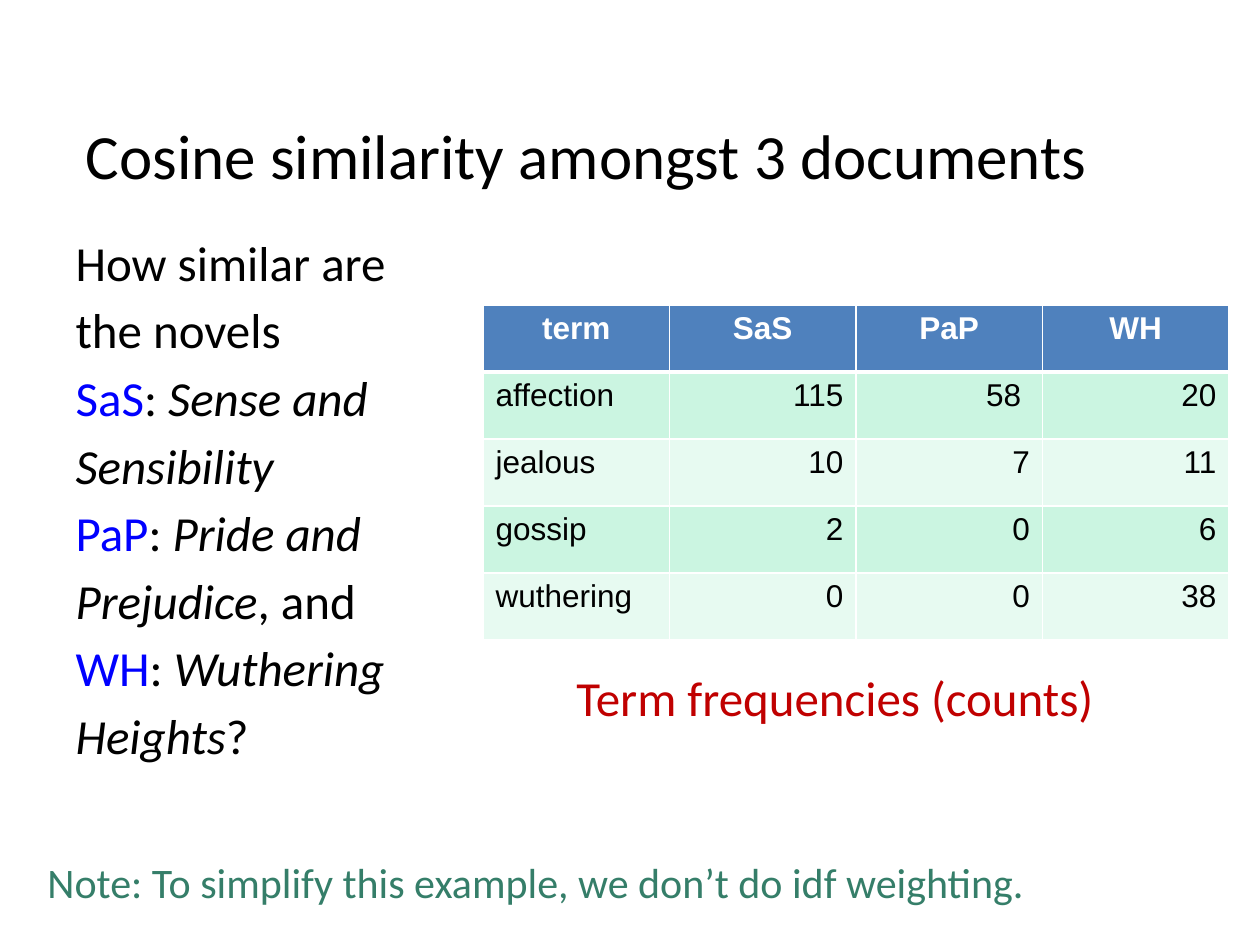
from pptx import Presentation
from pptx.dml.color import RGBColor as RGB
from pptx.enum.text import MSO_ANCHOR as ANCHOR, MSO_AUTO_SIZE as FIT, PP_ALIGN as ALIGN
from pptx.oxml import parse_xml
from pptx.oxml.ns import nsdecls
from pptx.util import Emu, Pt

BLACK = RGB(0x00, 0x00, 0x00)
WHITE = RGB(0xFF, 0xFF, 0xFF)
BLUE = RGB(0x00, 0x00, 0xFF)
RED = RGB(0xC0, 0x00, 0x00)
GREEN = RGB(0x35, 0x7E, 0x69)
HEAD = RGB(0x4F, 0x81, 0xBD)
BANDS = [RGB(0xE7, 0xFA, 0xF1), RGB(0xCB, 0xF5, 0xE1)]


def px(n):
    return Emu(round(n * 914400 / 126))


def style(para, size, color, name="Calibri", bold=False):
    font = para.font
    font.size, font.name, font.bold = Pt(size), name, bold
    font.color.rgb = color


deck = Presentation()
deck.slide_width, deck.slide_height = px(1260), px(945)
slide = deck.slides.add_slide(deck.slide_layouts[1])

# Title
title = slide.shapes.title
title.left, title.top, title.width, title.height = px(73), px(38), px(1187), px(160)
frame = title.text_frame
frame.text = "Cosine similarity amongst 3 documents"
frame.vertical_anchor = ANCHOR.BOTTOM
frame.auto_size = FIT.NONE
frame.paragraphs[0].alignment = ALIGN.LEFT
style(frame.paragraphs[0], 36, BLACK)

# Novels: each line holds a blue key, plain text, an italic title and plain text
lines = [
    ("", "How similar are", "", ""),
    ("", "the novels", "", ""),
    ("SaS", ": ", "Sense and", ""),
    ("", "", "Sensibility", ""),
    ("PaP", ": ", "Pride and", ""),
    ("", "", "Prejudice", ", and"),
    ("WH", ": ", "Wuthering", ""),
    ("", "", "Heights", "?"),
]
body = slide.placeholders[1]
body.left, body.top, body.width, body.height = px(63), px(226), px(415), px(646)
frame = body.text_frame
frame.auto_size = FIT.NONE
for i, parts in enumerate(lines):
    para = frame.paragraphs[0] if i == 0 else frame.add_paragraph()
    props = para._p.get_or_add_pPr()
    props.set("marL", "0")
    props.set("indent", "0")
    props.append(parse_xml(f"<a:buNone {nsdecls('a')}/>"))
    para.space_before = Pt(5 if i else 0)
    style(para, 28, BLACK)
    for j, text in enumerate(parts):
        if text:
            run = para.add_run()
            run.text = text
            if j == 0:
                run.font.color.rgb = BLUE
            elif j == 2:
                run.font.italic = True

# Term counts
rows = [
    ("term", "SaS", "PaP", "WH"),
    ("affection", "115", "58 ", "20"),
    ("jealous", "10", "7", "11"),
    ("gossip", "2", "0", "6"),
    ("wuthering", "0", "0", "38"),
]
table = slide.shapes.add_table(5, 4, px(483), px(305), px(746), px(335)).table
for r, row in enumerate(rows):
    for c, text in enumerate(row):
        cell = table.cell(r, c)
        cell.text = text
        cell.fill.solid()
        cell.fill.fore_color.rgb = BANDS[r % 2] if r else HEAD
        para = cell.text_frame.paragraphs[0]
        if r == 0:
            para.alignment = ALIGN.CENTER
        elif c:
            para.alignment = ALIGN.RIGHT
        style(para, 18, BLACK if r else WHITE, "Arial", r == 0)
        # White borders, thicker below the header
        for k, side in enumerate("LRTB"):
            thick = (r, side) in [(0, "B"), (1, "T")]
            cell._tc.get_or_add_tcPr().insert(k, parse_xml(
                f'<a:ln{side} {nsdecls("a")} w="{Pt(3 if thick else 1)}"><a:solidFill>'
                f'<a:srgbClr val="{WHITE}"/></a:solidFill></a:ln{side}>'))

# Caption and note
notes = [
    (564, 661, 548, 72, "Term frequencies (counts)", 28, RED),
    (35, 850, 1012, 63, "Note: To simplify this example, we don’t do idf weighting.", 24, GREEN),
]
for x, y, w, h, text, size, color in notes:
    frame = slide.shapes.add_textbox(px(x), px(y), px(w), px(h)).text_frame
    frame.word_wrap = False
    frame.auto_size = FIT.SHAPE_TO_FIT_TEXT
    frame.text = text
    style(frame.paragraphs[0], size, color)

deck.save("out.pptx")
